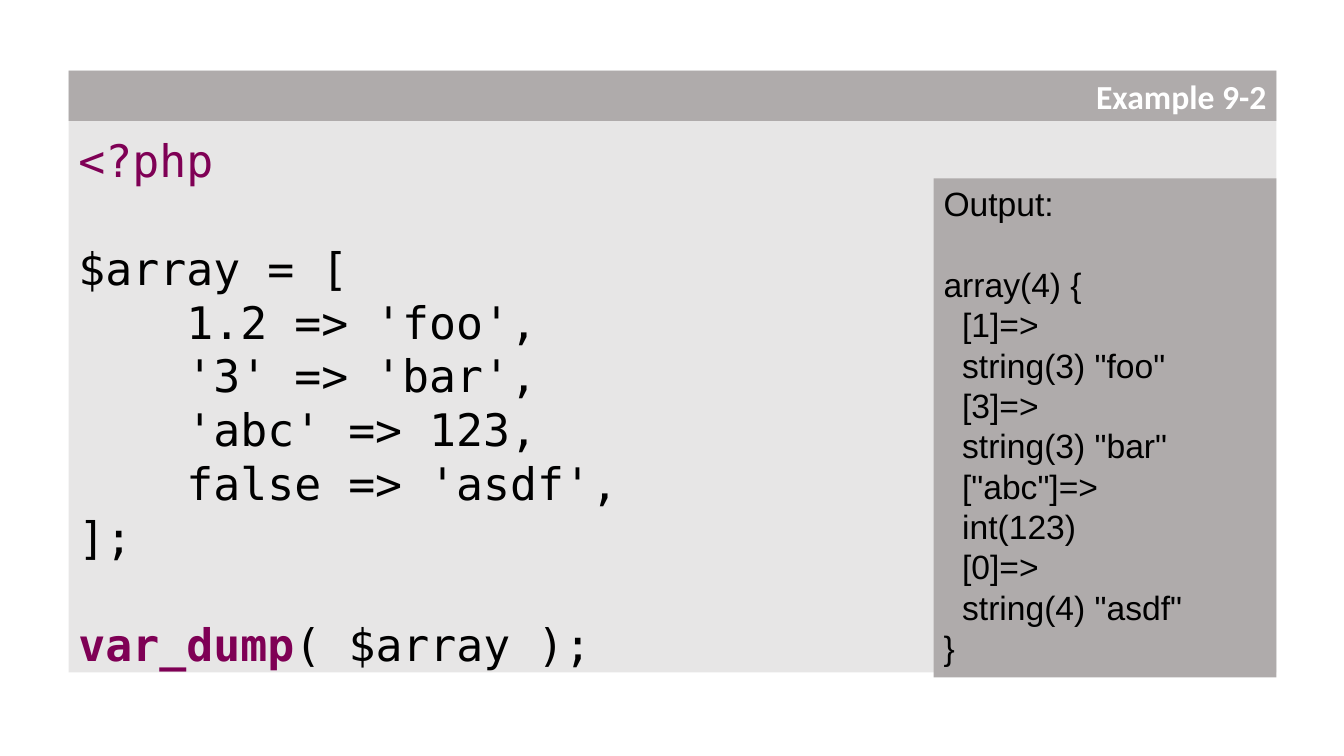
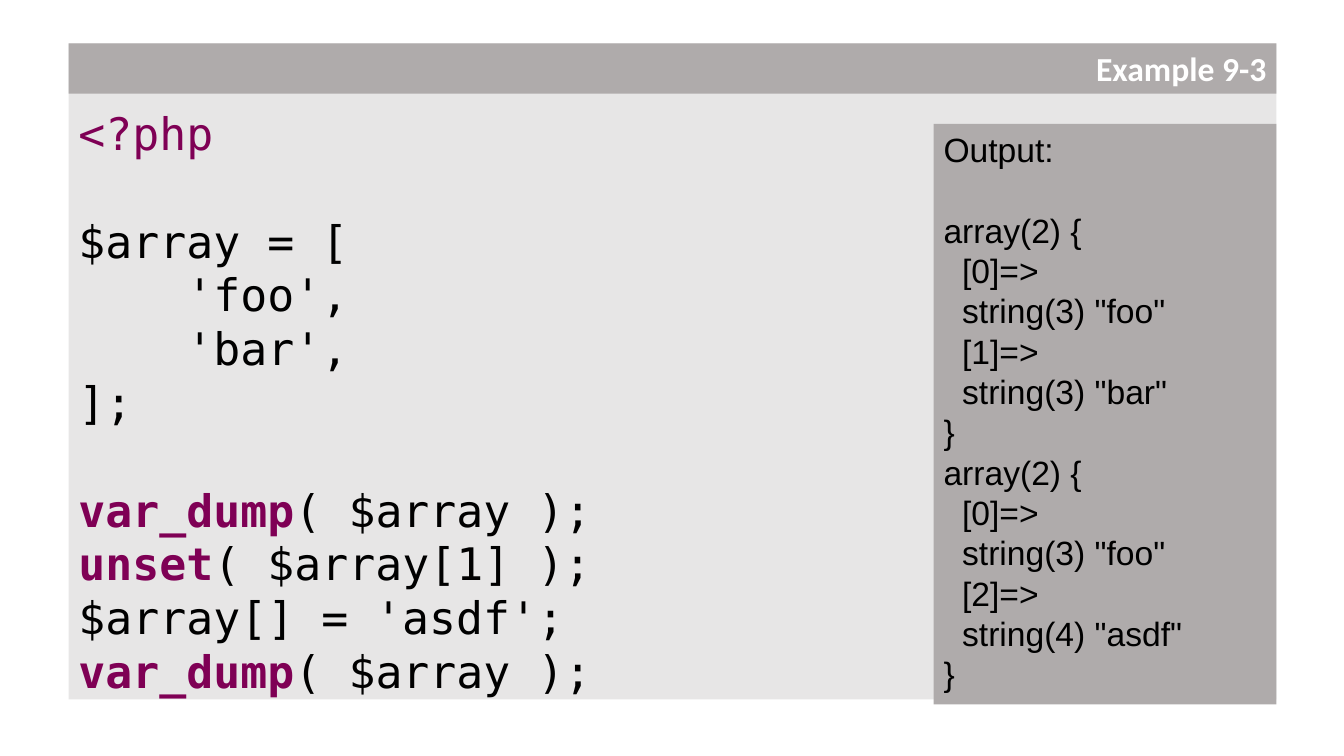
import pptx
import pptx.dml.color
import pptx.enum.shapes
import pptx.enum.text
import pptx.util

Inches = pptx.util.Inches
Pt = pptx.util.Pt
ANCHOR = pptx.enum.text.MSO_ANCHOR
ALIGN = pptx.enum.text.PP_ALIGN

COLORS = {
    "panel": "E7E6E6",
    "band": "AFABAB",
    "keyword": "7F0055",
    "text": "000000",
    "title": "FFFFFF",
}
FORMATS = {
    "code": {"name": "DejaVu Sans Mono", "size": Pt(32), "bold": False},
    "keyword": {"name": "DejaVu Sans Mono", "size": Pt(32), "bold": True},
    "output": {"name": "Arial", "size": Pt(24), "bold": False},
    "title": {"name": "Calibri", "size": Pt(24), "bold": True},
}
LINE_PITCH = 1.2
KEYWORDS = ("var_dump", "unset")

# Layout in inches
SLIDE_WIDTH, SLIDE_HEIGHT = 13.33, 7.5
EXAMPLE_LEFT, EXAMPLE_WIDTH, EXAMPLE_MIDDLE = 0.68, 11.98, 3.71
BAND_HEIGHT, OUTPUT_WIDTH = 0.5, 3.4
CODE_LINE, OUTPUT_LINE, PADDING = 0.54, 0.4, 0.1
CODE_INSET, OUTPUT_OVERHANG = 0.62, 0.05

EXAMPLES = [
    {
        "title": "Example 9-2",
        "height": 6.02,
        "output_height": 4.95,
        "code": """<?php

$array = [
    1.2 => 'foo',
    '3' => 'bar',
    'abc' => 123,
    false => 'asdf',
];

var_dump( $array );""",
        "output": """Output:

array(4) {
  [1]=>
  string(3) "foo"
  [3]=>
  string(3) "bar"
  ["abc"]=>
  int(123)
  [0]=>
  string(4) "asdf"
}""",
    },
    {
        "title": "Example 9-3",
        "height": 6.56,
        "output_height": 5.76,
        "code": """<?php

$array = [
    'foo',
    'bar',
];

var_dump( $array );
unset( $array[1] );
$array[] = 'asdf';
var_dump( $array );""",
        "output": """Output:

array(2) {
  [0]=>
  string(3) "foo"
  [1]=>
  string(3) "bar"
}
array(2) {
  [0]=>
  string(3) "foo"
  [2]=>
  string(4) "asdf"
}""",
    },
]


def rgb(color):
    return pptx.dml.color.RGBColor.from_string(COLORS[color])


def add_box(slide, left, top, width, height, color, inset=0.05, anchor=ANCHOR.TOP):
    """Add a plain filled rectangle and return its text frame."""
    shape = slide.shapes.add_shape(
        pptx.enum.shapes.MSO_SHAPE.RECTANGLE,
        Inches(left), Inches(top), Inches(width), Inches(height))
    shape.shadow.inherit = False
    shape.fill.solid()
    shape.fill.fore_color.rgb = rgb(color)
    shape.line.fill.background()
    frame = shape.text_frame
    frame.word_wrap = True
    frame.margin_top = Inches(inset)
    frame.vertical_anchor = anchor
    return frame


def add_run(paragraph, text, style, color):
    run = paragraph.add_run()
    run.text = text
    for attribute, value in FORMATS[style].items():
        setattr(run.font, attribute, value)
    run.font.color.rgb = rgb(color)


def add_code_runs(paragraph, line):
    """Highlight the opening tag and the called function."""
    name, bracket, rest = line.partition("(")
    if line == "<?php":
        add_run(paragraph, line, "code", "keyword")
    elif name in KEYWORDS:
        add_run(paragraph, name, "keyword", "keyword")
        add_run(paragraph, bracket + rest, "code", "text")
    else:
        add_run(paragraph, line, "code", "text")


def add_output_run(paragraph, line):
    add_run(paragraph, line, "output", "text")


def write_lines(frame, text, style, write_line):
    """Write one paragraph per line; an empty line becomes space before."""
    pitch = Pt(FORMATS[style]["size"].pt * LINE_PITCH)
    paragraph, gap = frame.paragraphs[0], 0
    for index, line in enumerate(text.split("\n")):
        if not line:
            gap += pitch
            continue
        if index:
            paragraph = frame.add_paragraph()
        paragraph.alignment = ALIGN.LEFT
        paragraph.line_spacing = pitch
        paragraph.space_before = gap
        write_line(paragraph, line)
        gap = 0


def add_code_panel(slide, left, top, width, height, code):
    frame = add_box(slide, left, top, width, height, "panel", CODE_INSET)
    write_lines(frame, code, "code", add_code_runs)


def add_output_panel(slide, right, bottom, height, output):
    frame = add_box(slide, right - OUTPUT_WIDTH, bottom - height,
                    OUTPUT_WIDTH, height, "band")
    write_lines(frame, output, "output", add_output_run)


def add_title_band(slide, left, top, width, title):
    frame = add_box(slide, left, top, width, BAND_HEIGHT, "band", anchor=ANCHOR.MIDDLE)
    paragraph = frame.paragraphs[0]
    paragraph.alignment = ALIGN.RIGHT
    add_run(paragraph, title, "title", "title")


def add_example_slide(presentation, example):
    slide = presentation.slides.add_slide(presentation.slide_layouts[6])
    left, width, height = EXAMPLE_LEFT, EXAMPLE_WIDTH, example["height"]
    top = EXAMPLE_MIDDLE - height / 2
    # Code, with the output over its lower right corner
    add_code_panel(slide, left, top, width, height - OUTPUT_OVERHANG, example["code"])
    add_output_panel(slide, left + width, top + height,
                     example["output_height"], example["output"])
    # Title band
    add_title_band(slide, left, top, width, example["title"])


def main():
    presentation = pptx.Presentation()
    presentation.slide_width = Inches(SLIDE_WIDTH)
    presentation.slide_height = Inches(SLIDE_HEIGHT)
    for example in EXAMPLES:
        add_example_slide(presentation, example)
    presentation.save("out.pptx")


if __name__ == "__main__":
    main()
